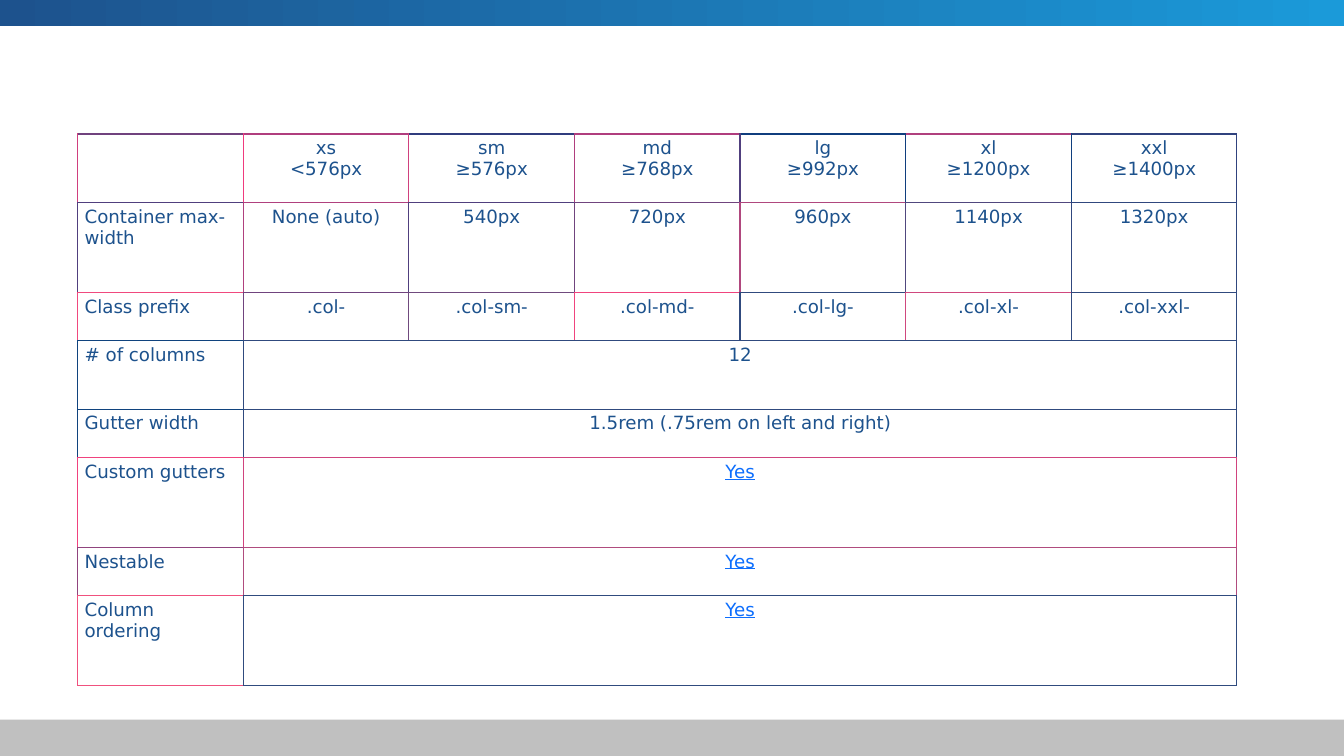
"""Build a slide with a table of grid breakpoints and column options."""
from lxml.etree import SubElement
from pptx import Presentation
from pptx.dml.color import RGBColor
from pptx.enum.shapes import MSO_SHAPE
from pptx.enum.text import PP_ALIGN
from pptx.oxml.ns import qn
from pptx.util import Inches, Pt

WIDE, HIGH = Inches(13.33), Inches(7.5)
FONT, SIZE = "DejaVu Sans", 13
INK, LINK, PAPER, FOOT = "1D528D", "0D6EFD", "FFFFFF", "C0C0C0"
FADE = ("1D528D", "1B9AD9")
COLS = 7
ROWS = [
    ["", "xs\n<576px", "sm\n≥576px", "md\n≥768px", "lg\n≥992px", "xl\n≥1200px", "xxl\n≥1400px"],
    ["Container max-width", "None (auto)", "540px", "720px", "960px", "1140px", "1320px"],
    ["Class prefix", ".col-", ".col-sm-", ".col-md-", ".col-lg-", ".col-xl-", ".col-xxl-"],
    ["# of columns", "12"],
    ["Gutter width", "1.5rem (.75rem on left and right)"],
    ["Custom gutters", "Yes"],
    ["Nestable", "Yes"],
    ["Column ordering", "Yes"],
]
TALL = [0.68, 0.89, 0.48, 0.68, 0.48, 0.89, 0.48, 0.89]
TOPS = ["70427E", "B03E7E", "303C7E", "B03D7E", "103E7E", "B0407E", "30427E"]
SIDES = [
    ["D03F7E", "F03A7E", "D0417E", "B03E7E", "503F7E", "103E7E", "103F7E", "30427E"],
    ["503F7E", "B0407E", "503F7E", "70447E", "B0477E", "50477E", "30477E"],
    ["F0497E", "70437E", "704A7E", "F0447E", "304A7E", "D0487E", "304A7E"],
    ["10437E", "304A7E"],
    ["10437E", "304A7E"],
    ["F0427E", "D0437E"],
    ["90447E", "B04C7E"],
    ["F0517E", "304B7E"],
]


def tint(code):
    return RGBColor.from_string(code)


def bar(slide, top, tall):
    shape = slide.shapes.add_shape(MSO_SHAPE.RECTANGLE, 0, int(HIGH * top), WIDE, int(HIGH * tall))
    shape.shadow.inherit = False
    shape.line.fill.background()
    return shape.fill


def edge(cell, side, code, width=1):
    line = SubElement(cell._tc.get_or_add_tcPr(), qn(f"a:ln{side}"), w=str(Pt(width)))
    SubElement(SubElement(line, qn("a:solidFill")), qn("a:srgbClr"), val=code)


def write(cell, text, align):
    cell.margin_left = cell.margin_right = Inches(0.07)
    cell.margin_top = cell.margin_bottom = Inches(0.04)
    para = cell.text_frame.paragraphs[0]
    para.text = text
    para.alignment = align
    font = para.font
    font.name, font.size = FONT, Pt(SIZE)
    font.underline = text == "Yes"
    font.color.rgb = tint(LINK if text == "Yes" else INK)


def grid(slide):
    frame = slide.shapes.add_table(len(ROWS), COLS, Inches(0.77), Inches(1.33),
                                   Inches(11.5), Inches(sum(TALL)))
    table = frame.table
    table.first_row = table.horz_banding = False
    for col in table.columns:
        col.width = Inches(11.5 / COLS)
    sides = [row + row[-1:] * (COLS + 1 - len(row)) for row in SIDES]
    tops = [TOPS] + sides[1:] + sides[-1:]
    for r, texts in enumerate(ROWS):
        table.rows[r].height = Inches(TALL[r])
        for c in range(COLS):
            cell = table.cell(r, c)
            edge(cell, "L", sides[r][c])
            edge(cell, "R", sides[r][c + 1])
            edge(cell, "T", tops[r][c])
            edge(cell, "B", tops[r + 1][c], 0.6 if r == len(ROWS) - 1 else 1)
            cell.fill.solid()
            cell.fill.fore_color.rgb = tint(PAPER)
        for c, text in enumerate(texts):
            write(table.cell(r, c), text, PP_ALIGN.CENTER if c else PP_ALIGN.LEFT)
        if len(texts) < COLS:
            table.cell(r, 1).merge(table.cell(r, COLS - 1))


def main():
    deck = Presentation()
    deck.slide_width, deck.slide_height = WIDE, HIGH
    slide = deck.slides.add_slide(deck.slide_layouts[6])
    foot = bar(slide, 0.952, 0.048)
    foot.solid()
    foot.fore_color.rgb = tint(FOOT)
    head = bar(slide, 0, 0.035)
    head.gradient()
    head.gradient_angle = 0
    for stop, code in zip(head.gradient_stops, FADE):
        stop.color.rgb = tint(code)
    grid(slide)
    deck.save("out.pptx")


if __name__ == "__main__":
    main()
